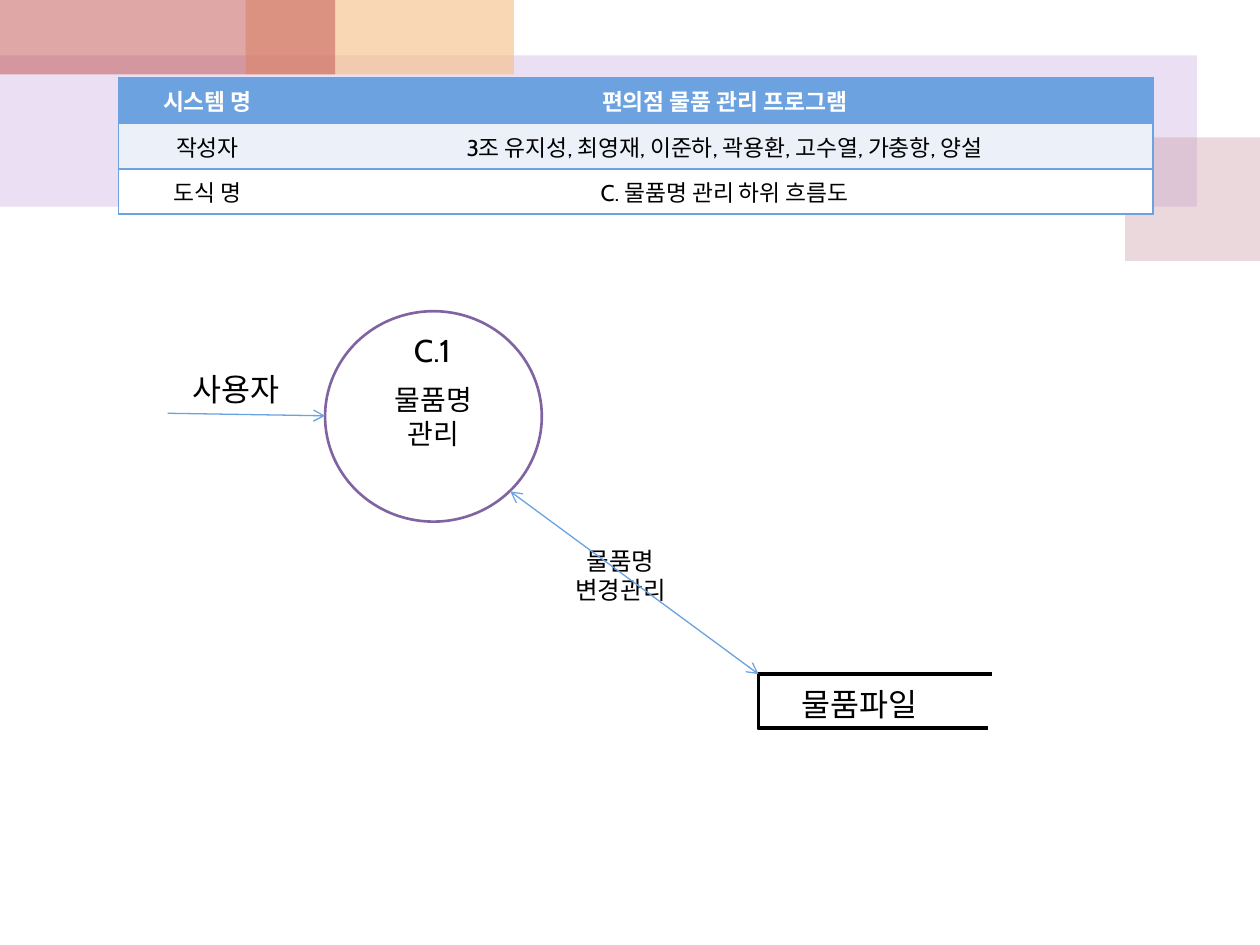
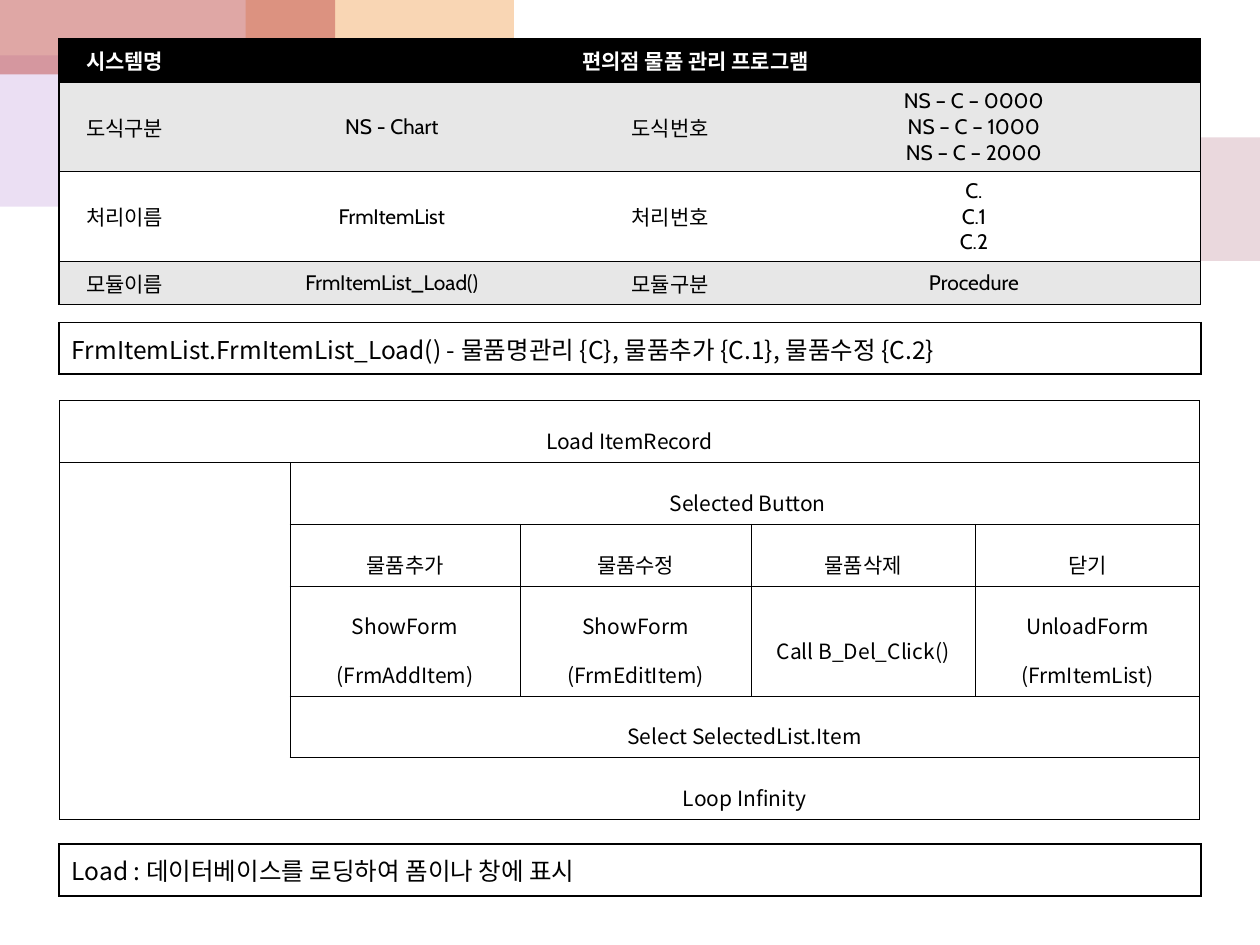
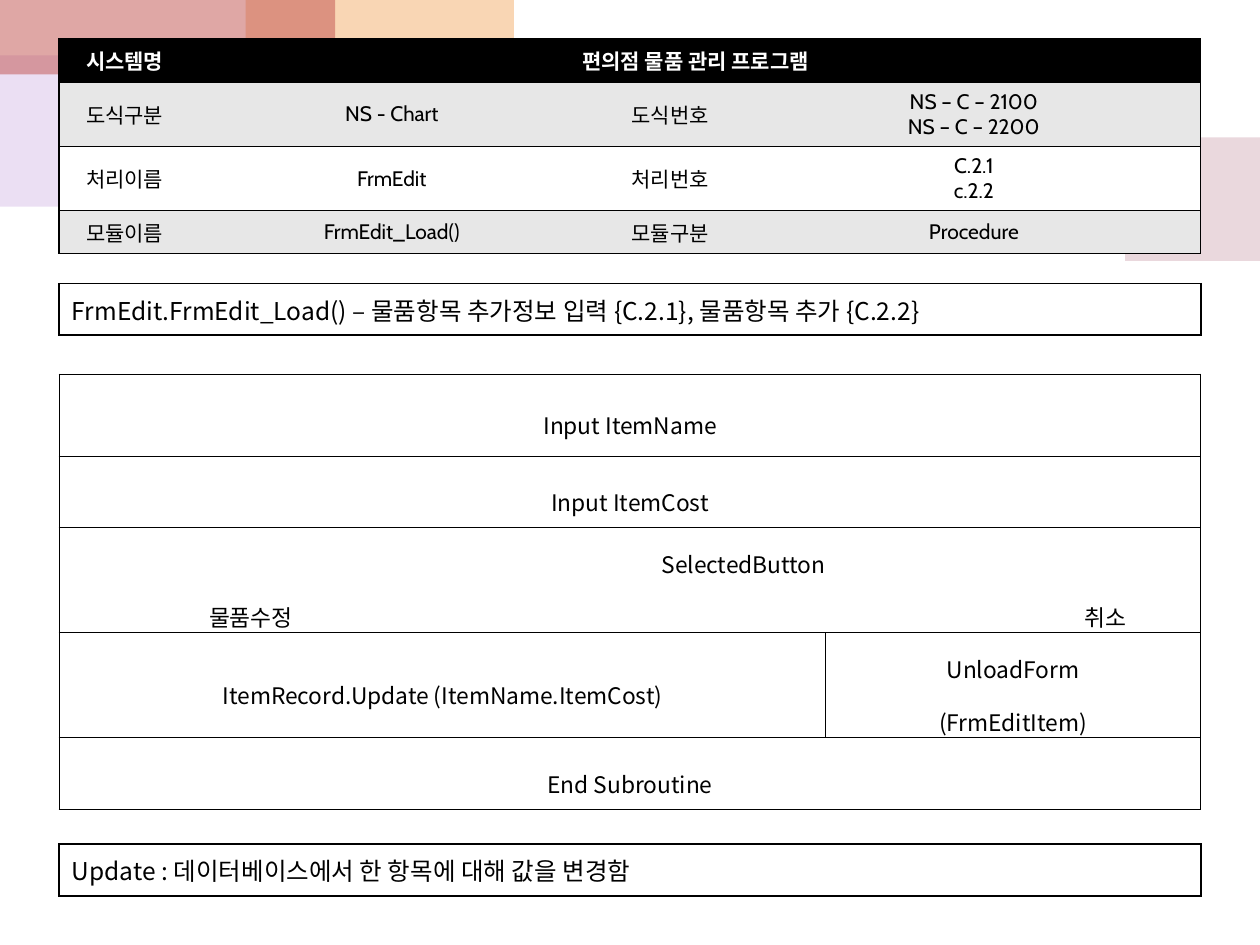
from lxml.etree import SubElement
from pptx import Presentation
from pptx.dml.color import RGBColor
from pptx.enum.shapes import MSO_CONNECTOR, MSO_SHAPE
from pptx.enum.text import MSO_ANCHOR, PP_ALIGN
from pptx.oxml.ns import qn
from pptx.util import Inches, Pt

COLORS = {name: RGBColor.from_string(value) for name, value in {
    "black": "000000", "white": "FFFFFF", "gray": "E7E7E7",
    "blue": "6BA2DF", "pale blue": "EBF0F9", "purple": "8064A2",
    "lilac": "BF98D8", "rose": "CC9EAC", "peach": "F5BC83", "red": "C0504D",
}.items()}
LABEL_FONT, CHART_FONT = "Cabin", "Noto Sans CJK KR"
MARGIN, CONTENT_WIDTH = 0.47, 9.06
ALL_SIDES = "LRTB"


def add_grid(slide, left, top, widths, heights, cells, size, font=CHART_FONT,
             line=0.75, color="black", align=PP_ALIGN.CENTER, spacing=1.0, insets=(0.1, 0.05)):
    """Add a table from (row, column, row span, column span, text, ruled sides[, alignment])."""
    table = slide.shapes.add_table(len(heights), len(widths), Inches(left), Inches(top),
                                   Inches(sum(widths)), Inches(sum(heights))).table
    for column, width in zip(table.columns, widths):
        column.width = Inches(width)
    for row, height in zip(table.rows, heights):
        row.height = Inches(height)
    for row, column, row_span, column_span, text, sides, *own_align in cells:
        first = table.cell(row, column)
        if row_span * column_span > 1:
            first.merge(table.cell(row + row_span - 1, column + column_span - 1))
        first.text = text
        for r in range(row, row + row_span):
            for c in range(column, column + column_span):
                cell = table.cell(r, c)
                cell.vertical_anchor = MSO_ANCHOR.MIDDLE
                cell.margin_left = cell.margin_right = Inches(insets[0])
                cell.margin_top = cell.margin_bottom = Inches(insets[1])
                properties = cell._tc.get_or_add_tcPr()
                for side in ALL_SIDES:
                    border = SubElement(properties, qn(f"a:ln{side}"), w=str(Pt(line)))
                    if side in sides:
                        fill = SubElement(border, qn("a:solidFill"))
                        SubElement(fill, qn("a:srgbClr"), val=str(COLORS[color]))
                    else:
                        SubElement(border, qn("a:noFill"))
                cell.fill.background()
                for paragraph in cell.text_frame.paragraphs:
                    paragraph.alignment = own_align[0] if own_align else align
                    paragraph.line_spacing = spacing
                    paragraph.font.size = Pt(size)
                    paragraph.font.name = font
                    paragraph.font.color.rgb = COLORS["black"]
    return table


def add_heading_table(slide, left, top, widths, heights, rows, size, color, band):
    """Add the banded table that names the system; the last text of a short row spans the rest."""
    cells = []
    for r, texts in enumerate(rows):
        for c, text in enumerate(texts):
            last = c == len(texts) - 1
            sides = "TB" + "L" * (c == 0) + "R" * last
            cells.append((r, c, 1, len(widths) - c if last else 1, text, sides))
    table = add_grid(slide, left, top, widths, heights, cells, size, LABEL_FONT, 1, color)
    fills = [color, band, "white", band]
    for r, row in enumerate(table.rows):
        for cell in row.cells:
            cell.fill.solid()
            cell.fill.fore_color.rgb = COLORS[fills[r]]
            for paragraph in cell.text_frame.paragraphs:
                paragraph.font.bold = r == 0
                paragraph.font.color.rgb = COLORS["white" if r == 0 else "black"]


presentation = Presentation()
presentation.slide_width, presentation.slide_height = Inches(10), Inches(7.5)
blank = presentation.slide_layouts[6]
for placeholder in list(blank.placeholders):
    placeholder.element.getparent().remove(placeholder.element)
flow, load_chart, edit_chart = [presentation.slides.add_slide(blank) for _ in range(3)]

# Translucent bands, shared by every slide through the layout
bands = []
for left, top, width, height, color, opacity in [
    (0, 0.44, 9.5, 1.2, "lilac", 30),
    (8.93, 1.09, 1.07, 0.98, "rose", 40),
    (1.95, 0, 2.13, 0.59, "peach", 60),
    (0, 0, 2.66, 0.59, "red", 50),
]:
    band = flow.shapes.add_shape(MSO_SHAPE.RECTANGLE, Inches(left), Inches(top),
                                 Inches(width), Inches(height))
    band.shadow.inherit = False
    band.line.fill.background()
    band.fill.solid()
    band.fill.fore_color.rgb = COLORS[color]
    SubElement(band.element.spPr.find(".//" + qn("a:srgbClr")), qn("a:alpha"), val=str(opacity * 1000))
    bands.append(band)
for band in bands:
    blank.shapes.element.append(band.element)

# Slide 1: data flow
outline = flow.shapes.build_freeform(Inches(7.87), Inches(5.35))
outline.add_line_segments([(Inches(x), Inches(y)) for x, y in [(6.02, 5.35), (6.02, 5.78), (7.84, 5.78)]],
                          close=False)
file_store = outline.convert_to_shape()
file_store.shadow.inherit = False
file_store.fill.background()
file_store.line.color.rgb = COLORS["black"]
file_store.line.width = Pt(2.25)

process = flow.shapes.add_shape(MSO_SHAPE.OVAL, Inches(2.58), Inches(2.47), Inches(1.72), Inches(1.67))
process.shadow.inherit = False
process.fill.solid()
process.fill.fore_color.rgb = COLORS["white"]
process.line.color.rgb = COLORS["purple"]
process.line.width = Pt(1.5)

labels = [(process, "물품명\n관리", 16)]
for left, top, width, text, size in [
    (6.12, 5.39, 1.41, "물품파일", 18),
    (1.17, 2.89, 1.41, "사용자", 18),
    (3.12, 2.58, 0.62, "C.1", 18),
    (4.22, 4.37, 1.41, "물품명\n변경관리", 14),
]:
    box = flow.shapes.add_textbox(Inches(left), Inches(top), Inches(width), Inches(0.39))
    labels.append((box, text, size))
for shape, text, size in labels:
    frame = shape.text_frame
    frame.word_wrap = True
    frame.vertical_anchor = MSO_ANCHOR.MIDDLE
    frame.text = text
    for paragraph in frame.paragraphs:
        paragraph.alignment = PP_ALIGN.CENTER
        paragraph.font.size = Pt(size)
        paragraph.font.name = LABEL_FONT
        paragraph.font.color.rgb = COLORS["black"]

for start_x, start_y, end_x, end_y, ends in [
    (1.33, 3.28, 2.58, 3.3, ["tailEnd"]),
    (4.05, 3.9, 6.02, 5.35, ["headEnd", "tailEnd"]),
]:
    arrow = flow.shapes.add_connector(MSO_CONNECTOR.STRAIGHT, Inches(start_x), Inches(start_y),
                                      Inches(end_x), Inches(end_y))
    arrow.line.color.rgb = COLORS["blue"]
    arrow.line.width = Pt(0.75)
    for end in ends:
        SubElement(arrow.line._get_or_add_ln(), qn(f"a:{end}"), type="arrow")
    SubElement(arrow.element.spPr, qn("a:effectLst"))

add_heading_table(flow, 0.94, 0.62, [1.41, 6.8], [0.36] * 3, [
    ["시스템 명", "편의점 물품 관리 프로그램"],
    ["작성자", "3조 유지성, 최영재, 이준하, 곽용환, 고수열, 가충항, 양설"],
    ["도식 명", "C. 물품명 관리 하위 흐름도"],
], 13, "blue", "pale blue")

# Slides 2 and 3: heading table, module line and closing note
for slide, tall_row, form, loader, chart_numbers, process_numbers, module_top, module, note in [
    (load_chart, 0.71, "FrmItemList", "FrmItemList_Load()",
     "NS – C – 0000\nNS – C – 1000\nNS – C – 2000", "C.\nC.1\nC.2", 2.56,
     "FrmItemList.FrmItemList_Load() - 물품명관리 {C}, 물품추가 {C.1}, 물품수정 {C.2}",
     "Load : 데이터베이스를 로딩하여 폼이나 창에 표시"),
    (edit_chart, 0.51, "FrmEdit", "FrmEdit_Load()",
     "NS – C – 2100\nNS – C – 2200", "C.2.1\nc.2.2", 2.25,
     "FrmEdit.FrmEdit_Load() – 물품항목 추가정보 입력 {C.2.1}, 물품항목 추가 {C.2.2}",
     "Update : 데이터베이스에서 한 항목에 대해 값을 변경함"),
]:
    add_heading_table(slide, MARGIN, 0.31, [1.04, 3.2, 1.22, 3.6], [0.34, tall_row, tall_row, 0.34], [
        ["시스템명", "편의점 물품 관리 프로그램"],
        ["도식구분", "NS - Chart", "도식번호", chart_numbers],
        ["처리이름", form, "처리번호", process_numbers],
        ["모듈이름", loader, "모듈구분", "Procedure"],
    ], 12, "black", "gray")
    for top, text in [(6.7, note), (module_top, module)]:
        add_grid(slide, MARGIN, top, [CONTENT_WIDTH], [0.41], [(0, 0, 1, 1, text, ALL_SIDES)],
                 14, line=1, align=PP_ALIGN.LEFT)

# Slide 2: loading chart
load_cells = [
    (0, 0, 1, 5, "Load ItemRecord", ALL_SIDES),
    (1, 0, 4, 1, "", "LTR"),
    (1, 1, 1, 1, "", "LTB"),
    (1, 2, 1, 2, "Selected Button", "TB"),
    (1, 4, 1, 1, "", "TRB"),
    (4, 1, 1, 4, "Select SelectedList.Item", ALL_SIDES),
    (5, 0, 1, 1, "", "LB"),
    (5, 1, 1, 4, "Loop Infinity", "TRB"),
]
for column, (button, action) in enumerate([
    ("물품추가", "ShowForm\n(FrmAddItem)"),
    ("물품수정", "ShowForm\n(FrmEditItem)"),
    ("물품삭제", "Call B_Del_Click()"),
    ("닫기", "UnloadForm\n(FrmItemList)"),
], start=1):
    load_cells += [(2, column, 1, 1, button, ALL_SIDES), (3, column, 1, 1, action, ALL_SIDES)]
add_grid(load_chart, MARGIN, 3.18, [1.83] * 3 + [1.78] * 2, [0.49] * 3 + [0.87] + [0.49] * 2,
         load_cells, 12, line=0.28, spacing=1.6)

# Slide 3: editing chart
add_grid(edit_chart, MARGIN, 2.97, [3.04, 3.04, 1.47, 1.51], [0.65, 0.57, 0.41, 0.41, 0.83, 0.57], [
    (0, 0, 1, 4, "Input ItemName", ALL_SIDES),
    (1, 0, 1, 4, "Input ItemCost", ALL_SIDES),
    (2, 0, 1, 1, "", "LT"),
    (2, 1, 1, 1, "SelectedButton", "T", PP_ALIGN.RIGHT),
    (2, 2, 1, 1, "", "T"),
    (2, 3, 1, 1, "", "TR"),
    (3, 0, 1, 1, "물품수정", "LB"),
    (3, 1, 1, 1, "", "B"),
    (3, 2, 1, 1, "", "B"),
    (3, 3, 1, 1, "취소", "RB"),
    (4, 0, 1, 2, "ItemRecord.Update (ItemName.ItemCost)", ALL_SIDES),
    (4, 2, 1, 2, "UnloadForm\n(FrmEditItem)", ALL_SIDES),
    (5, 0, 1, 4, "End Subroutine", ALL_SIDES),
], 13, spacing=1.6, insets=(0, 0))

presentation.save("out.pptx")
